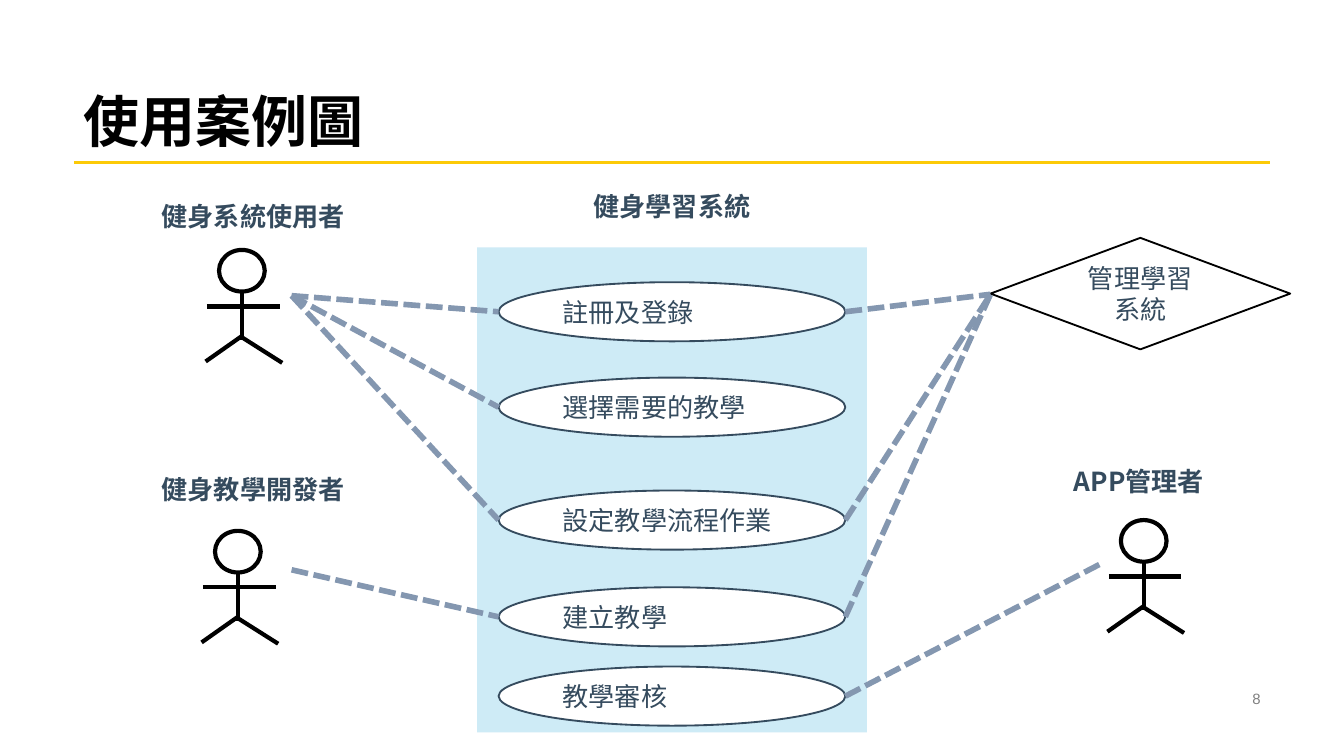
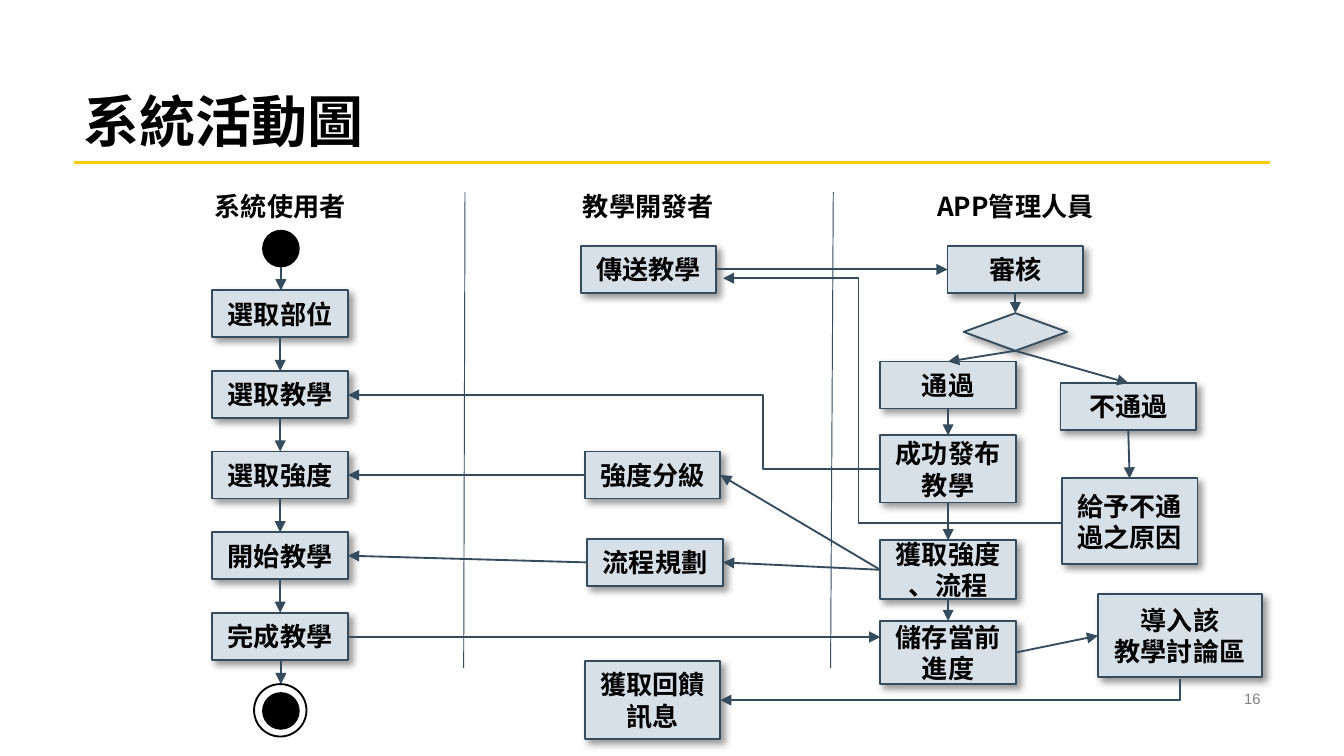
from lxml.etree import SubElement
from pptx import Presentation
from pptx.dml.color import RGBColor
from pptx.enum.dml import MSO_LINE
from pptx.enum.shapes import MSO_CONNECTOR as CXN, MSO_SHAPE as SHAPE
from pptx.enum.text import MSO_ANCHOR as ANCHOR, PP_ALIGN as ALIGN
from pptx.oxml.ns import qn
from pptx.util import Pt

PX = 9144  # 100 px to the inch
WIDTH = 1000
HEIGHT = WIDTH * 9 / 16
LATIN, CJK = "Arial", "Noto Sans CJK SC"
COLORS = {
    "black": "000000", "white": "FFFFFF", "gold": "FCCA07", "grey": "808080",
    "slate": "354B5E", "mist": "D7DFE7", "sky": "CEEBF6", "dash": "8497B0",
}
SITES = {"top": 0, "left": 1, "bottom": 2, "right": 3}


def rgb(name):
    return RGBColor.from_string(COLORS[name])


def emu(*lengths):
    return [round(v * PX) for v in lengths]


def write(sp, text, size=14, font=CJK, color="black", bold=False,
          align=ALIGN.CENTER, anchor=ANCHOR.MIDDLE, inset=(10, 5), spacing=None):
    tf = sp.text_frame
    dx, dy = emu(*inset)
    frame = {"word_wrap": True, "vertical_anchor": anchor, "margin_left": dx,
             "margin_right": dx, "margin_top": dy, "margin_bottom": dy}
    for name, value in frame.items():
        setattr(tf, name, value)
    p = tf.paragraphs[0]
    p.text, p.alignment, p.line_spacing = text, align, spacing
    for r in p.runs:
        for name, value in {"size": Pt(size), "bold": bold, "name": font}.items():
            setattr(r.font, name, value)
        r.font.color.rgb = rgb(color)
        SubElement(r.font._element, qn("a:ea"), typeface=CJK)


def label(shapes, box, text, **fmt):
    sp = shapes.add_textbox(*emu(*box))
    write(sp, text, **fmt)
    return sp


def shape(shapes, kind, box, fill=None, line=None, width=1):
    sp = shapes.add_shape(kind, *emu(*box))
    sp.shadow.inherit = False
    if fill:
        sp.fill.solid()
        sp.fill.fore_color.rgb = rgb(fill)
    else:
        sp.fill.background()
    if line:
        sp.line.color.rgb = rgb(line)
        sp.line.width = Pt(width)
    else:
        sp.line.fill.background()
    return sp


def line(shapes, start, end, color="slate", width=1, dash=None, arrow=False,
         kind=CXN.STRAIGHT):
    c = shapes.add_connector(kind, *emu(*start, *end))
    c.line.color.rgb = rgb(color)
    c.line.width = Pt(width)
    if dash:
        c.line.dash_style = dash
    if arrow:
        SubElement(c.line._get_or_add_ln(), qn("a:tailEnd"), type="triangle")
    SubElement(c._element.spPr, qn("a:effectLst"))
    return c


def link(shapes, a, side_a, b, side_b):
    """Arrow glued to the named sides of two four-sided shapes."""
    c = line(shapes, (0, 0), (0, 0), arrow=True)
    c.begin_connect(a, SITES[side_a])
    c.end_connect(b, SITES[side_b])


def elbow(shapes, start, end, bend):
    """Arrow that runs across, down or up at the given share, then across."""
    c = line(shapes, start, end, arrow=True, kind=CXN.ELBOW)
    adjust = c._element.spPr.find(qn("a:prstGeom")).find(qn("a:avLst"))
    SubElement(adjust, qn("a:gd"), name="adj1", fmla=f"val {round(bend * 100000)}")


def corner(shapes, start, end):
    """Arrow that drops from start, then runs left to end."""
    (x1, y1), (x2, y2) = start, end
    cx, cy, w, h = (x1 + x2) / 2, (y1 + y2) / 2, y2 - y1, x1 - x2
    c = line(shapes, (cx - w / 2, cy - h / 2), (cx + w / 2, cy + h / 2),
             arrow=True, kind=CXN.ELBOW)
    spPr = c._element.spPr
    spPr.find(qn("a:prstGeom")).set("prst", "bentConnector2")
    spPr.find(qn("a:xfrm")).set("rot", str(90 * 60000))


def drop_shadow(sp):
    effects = sp._element.spPr.find(qn("a:effectLst"))
    shadow = SubElement(effects, qn("a:outerShdw"), blurRad=str(Pt(4)),
                        dist=str(Pt(3)), dir=str(45 * 60000), algn="tl",
                        rotWithShape="0")
    color = SubElement(shadow, qn("a:srgbClr"), val=COLORS["black"])
    SubElement(color, qn("a:alpha"), val="40000")


def titled_slide(prs, title, number):
    s = prs.slides.add_slide(prs.slide_layouts[6])
    left, width = 55, 890
    line(s.shapes, (left, 121), (left + width, 121), "gold", 1.5)
    label(s.shapes, (left, 0, width, 119), title, size=30, font=LATIN, bold=True,
          align=ALIGN.LEFT, anchor=ANCHOR.BOTTOM, inset=(7, 4), spacing=0.9)
    label(s.shapes, (706, 511, 239, 17), str(number), size=8, font=LATIN,
          color="grey", align=ALIGN.RIGHT, inset=(7, 4))
    return s


# Use case slide

def actor(shapes, x, y, name, name_dx, name_dy):
    """Stick figure whose head has its corner at x, y, with a name above."""
    label(shapes, (x + name_dx, y + name_dy, 161, 40), name, color="slate", bold=True)
    figure = shapes.add_group_shape().shapes
    shape(figure, SHAPE.OVAL, (x, y, 34, 31), "white", "black", 2.25)
    arms, body = ((-9, 42), (45, 42)), ((17, 31), (17, 67))
    legs = ((-10, 83), (17, 64)), ((47, 84), (17, 65))
    for (x1, y1), (x2, y2) in (arms, body, *legs):
        line(figure, (x + x1, y + y1), (x + x2, y + y2), "black", 2.25)


def system_boundary(shapes, x, y, w, h, cases):
    """Panel of use cases; returns the left and right end of each."""
    label(shapes, (x + 36, y - 57, 218, 53), "健身學習系統", color="slate", bold=True)
    shape(shapes, SHAPE.RECTANGLE, (x, y, w, h), "sky")
    ends = {}
    left, case_w, case_h = x + 16, w - 32, 44
    for name, (dy, text) in cases.items():
        sp = shape(shapes, SHAPE.OVAL, (left, y + dy, case_w, case_h), "white", "slate")
        write(sp, text, font=LATIN, color="slate", align=ALIGN.JUSTIFY)
        middle = y + dy + case_h // 2
        ends[name] = (left, middle), (left + case_w, middle)
    return ends


def use_case_slide(prs):
    sh = titled_slide(prs, "使用案例圖", 8).shapes
    ends = system_boundary(sh, 355, 184, 290, 361, {
        "login": (26, "註冊及登錄"),
        "choose": (97, "選擇需要的教學"),
        "flow": (181, "設定教學流程作業"),
        "create": (253, "建立教學"),
        "audit": (312, "教學審核"),
    })
    manage = shape(sh, SHAPE.FLOWCHART_DECISION, (737, 177, 223, 83), "white", "black")
    write(manage, "管理學習系統", font=LATIN, color="slate")
    user, developer, manager, admin = (217, 220), (217, 424), (737, 219), (820, 419)
    LEFT, RIGHT = 0, 1
    for point, side, cases in (
        (user, LEFT, ("login", "choose", "flow")),
        (developer, LEFT, ("create",)),
        (manager, RIGHT, ("login", "flow", "create")),
        (admin, RIGHT, ("audit",)),
    ):
        for case in cases:
            start, end = (point, ends[case][LEFT]) if side == LEFT else (
                ends[case][RIGHT], point)
            line(sh, start, end, "dash", 3, MSO_LINE.SQUARE_DOT)
    actor(sh, 163, 186, "健身系統使用者", -55, -45)
    actor(sh, 160, 395, "健身教學開發者", -52, -51)
    actor(sh, 834, 387, "APP管理者", -67, -49)


# Activity slide

def lane(shapes, x, y, heading, steps):
    """Heading with its steps, each (dx, dy, w, h, text) from the lane corner."""
    label(shapes, (x, y, 161, 40), heading, bold=True)
    boxes = {}
    for name, (dx, dy, w, h, text) in steps.items():
        sp = shape(shapes, SHAPE.RECTANGLE, (x + dx, y + dy, w, h), "mist", "slate")
        drop_shadow(sp)
        write(sp, text, bold=True)
        boxes[name] = sp
    return boxes


def user_lane(shapes, x, y):
    names = ("part", "lesson", "strength", "begin", "finish")
    texts = ("選取部位", "選取教學", "選取強度", "開始教學", "完成教學")
    boxes = lane(shapes, x, y, "系統使用者", {
        name: (30, 83 + 60 * i, 101, 35, text)
        for i, (name, text) in enumerate(zip(names, texts))})
    for a, b in zip(names, names[1:]):
        link(shapes, boxes[a], "bottom", boxes[b], "top")
    middle = x + 81
    shape(shapes, SHAPE.OVAL, (middle - 14, y + 38, 28, 28), "black")
    shape(shapes, SHAPE.OVAL, (middle - 14, y + 382, 28, 28), "black")
    shape(shapes, SHAPE.OVAL, (middle - 20, y + 376, 39, 39), None, "black")
    for top, bottom in ((66, 83), (358, 376)):
        line(shapes, (middle, y + top), (middle, y + bottom), arrow=True)
    return boxes


def developer_lane(shapes, x, y):
    return lane(shapes, x, y, "教學開發者", {
        "send": (30, 50, 101, 35, "傳送教學"),
        "grade": (33, 203, 101, 35, "強度分級"),
        "plan": (35, 268, 101, 35, "流程規劃"),
        "feedback": (33, 359, 101, 58, "獲取回饋訊息"),
    })


def admin_lane(shapes, x, y):
    boxes = lane(shapes, x, y, "APP管理人員", {
        "review": (30, 50, 101, 35, "審核"),
        "pass": (-20, 136, 101, 35, "通過"),
        "fail": (114, 152, 101, 35, "不通過"),
        "publish": (-20, 191, 101, 50, "成功發布教學"),
        "fetch": (-20, 269, 101, 44, "獲取強度\n、流程"),
        "save": (-20, 329, 101, 47, "儲存當前進度"),
        "reason": (115, 223, 101, 64, "給予不通過之原因"),
        "forum": (142, 309, 122, 62, "導入該\n教學討論區"),
    })
    boxes["decide"] = shape(shapes, SHAPE.FLOWCHART_DECISION,
                            (x + 42, y + 100, 77, 28), "mist", "slate")
    drop_shadow(boxes["decide"])
    for a, b in (("review", "decide"), ("decide", "pass"), ("decide", "fail"),
                 ("pass", "publish"), ("publish", "fetch"), ("fetch", "save"),
                 ("fail", "reason")):
        link(shapes, boxes[a], "bottom", boxes[b], "top")
    link(shapes, boxes["save"], "right", boxes["forum"], "left")
    return boxes


def activity_slide(prs):
    sh = titled_slide(prs, "系統活動圖", 16).shapes
    for top_x, bottom_x in ((346, 345), (620, 618)):
        line(sh, (top_x, 143), (bottom_x, 497), width=0.5)
    user = user_lane(sh, 128, 133)
    developer = developer_lane(sh, 402, 133)
    admin = admin_lane(sh, 675, 133)
    link(sh, developer["send"], "right", admin["review"], "left")
    for a, b in ((admin["fetch"], developer["grade"]),
                 (admin["fetch"], developer["plan"]),
                 (developer["grade"], user["strength"]),
                 (developer["plan"], user["begin"])):
        link(sh, a, "left", b, "right")
    line(sh, (259, 474), (655, 474), arrow=True)
    elbow(sh, (790, 389), (538, 207), 0.6)
    elbow(sh, (655, 349), (259, 294), 0.22)
    corner(sh, (878, 505), (536, 521))


def main():
    prs = Presentation()
    prs.slide_width, prs.slide_height = emu(WIDTH, HEIGHT)
    use_case_slide(prs)
    activity_slide(prs)
    prs.save("out.pptx")


if __name__ == "__main__":
    main()
